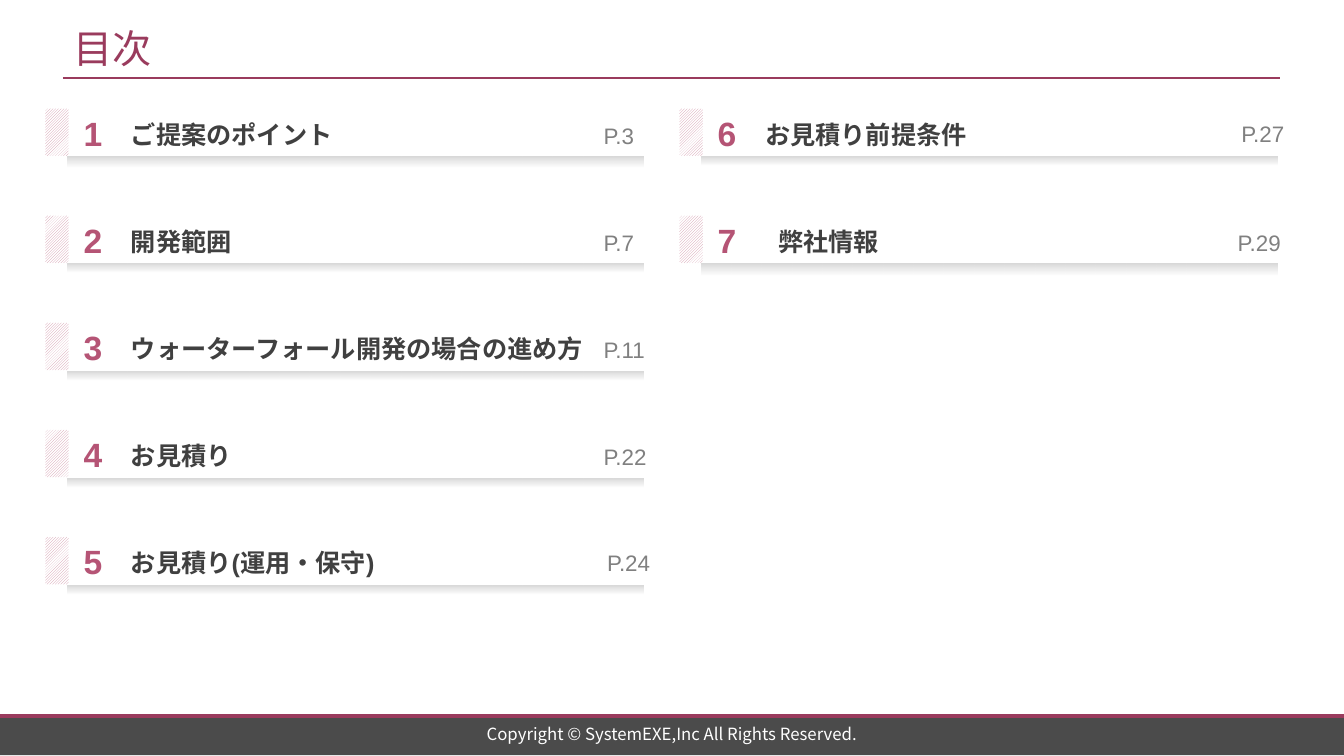
from pptx import Presentation
from pptx import util as u
from pptx.dml import color
from pptx.enum import dml, shapes, text
from pptx.oxml import ns, xmlchemy

WINE = color.RGBColor(0x9A, 0x3B, 0x5D)
ROSE = color.RGBColor(0xB5, 0x54, 0x75)
PINK = color.RGBColor(0xD0, 0x92, 0xA7)
CHARCOAL = color.RGBColor(0x4B, 0x4B, 0x4B)
DARK = color.RGBColor(0x40, 0x40, 0x40)
GRAY = color.RGBColor(0x80, 0x80, 0x80)
SILVER = color.RGBColor(0xD9, 0xD9, 0xD9)
WHITE = color.RGBColor(0xFF, 0xFF, 0xFF)

LATIN = "Arial"
JAPANESE = "Noto Sans CJK JP"
WIDTH, HEIGHT = 960, 540
ROWS = 5
COLUMN_STEP, ROW_STEP = 453, 76.5

HEADING = {"size": u.Pt(28), "name": JAPANESE}
COPYRIGHT = {"size": u.Pt(12), "name": JAPANESE}
NUMBER = {"size": u.Pt(24), "name": LATIN, "bold": True}
CHAPTER = {"size": u.Pt(18), "name": LATIN, "bold": True}
PAGE = {"size": u.Pt(16), "name": LATIN}

MIDDLE = {"vertical_anchor": text.MSO_ANCHOR.MIDDLE, "word_wrap": False}
BOTTOM = {"vertical_anchor": text.MSO_ANCHOR.BOTTOM, "word_wrap": False}
WIDE_MARGINS = {
    "margin_left": u.Pt(9.6), "margin_right": u.Pt(9.6),
    "margin_top": u.Pt(4.8), "margin_bottom": u.Pt(4.8),
}
FIT = {"word_wrap": False, "auto_size": text.MSO_AUTO_SIZE.SHAPE_TO_FIT_TEXT}

CHAPTERS = [
    ("ご提案のポイント", "P.3", 0, 8, {}),
    ("開発範囲", "P.7", 0, 6.5, {}),
    ("ウォーターフォール開発の場合の進め方", "P.11", 0, 6.5, {}),
    ("お見積り", "P.22", 0, 6.5, {}),
    ("お見積り(運用・保守)", "P.24", 0, 6.5, WIDE_MARGINS),
    ("お見積り前提条件", "P.27", 0, 6.5, WIDE_MARGINS),
    ("弊社情報", "P.29", 9.5, 8, {}),
]


class ContentsSlide:
    """Draws the elements of a contents page on one slide."""

    def __init__(self, presentation):
        self.slide = presentation.slides.add_slide(presentation.slide_layouts[6])

    def rectangle(self, *box):
        shape = self.slide.shapes.add_shape(
            shapes.MSO_SHAPE.RECTANGLE, *map(u.Pt, box))
        shape.shadow.inherit = False
        shape.line.fill.background()
        return shape

    def band(self, *box):
        fill = self.rectangle(*box).fill
        fill.solid()
        fill.fore_color.rgb = CHARCOAL

    def hatch(self, *box):
        fill = self.rectangle(*box).fill
        fill.patterned()
        fill.pattern = dml.MSO_PATTERN.DARK_UPWARD_DIAGONAL
        fill.fore_color.rgb = PINK
        fill.back_color.rgb = WHITE

    def fading_bar(self, *box):
        shape = self.rectangle(*box)
        shape.rotation = 180
        shape.fill.gradient()
        shape.fill.gradient_angle = 90
        for stop, shade in zip(shape.fill.gradient_stops, (SILVER, WHITE)):
            stop.color.rgb = shade
        last_color = shape._element.spPr.findall(".//" + ns.qn("a:srgbClr"))[-1]
        alpha = xmlchemy.OxmlElement("a:alpha")
        alpha.set("val", "85000")
        last_color.append(alpha)

    def rule(self, left, right, top, width):
        line = self.slide.shapes.add_connector(
            shapes.MSO_CONNECTOR.STRAIGHT, *map(u.Pt, (left, top, right, top)))
        line.line.color.rgb = WINE
        line.line.width = u.Pt(width)
        line._element.spPr.append(xmlchemy.OxmlElement("a:effectLst"))

    def label(self, words, box, font, ink, frame, align=text.PP_ALIGN.LEFT):
        text_frame = self.slide.shapes.add_textbox(*map(u.Pt, box)).text_frame
        paragraph = text_frame.paragraphs[0]
        paragraph.alignment = align
        run = paragraph.add_run()
        run.text = words
        for target, values in ((text_frame, frame), (run.font, font)):
            for name, value in values.items():
                setattr(target, name, value)
        run.font.color.rgb = ink
        east_asian = xmlchemy.OxmlElement("a:ea")
        east_asian.set("typeface", JAPANESE)
        run._r.get_or_add_rPr().append(east_asian)

    def chapter(self, index, title, page, indent, thickness, margins):
        column, row = divmod(index, ROWS)
        x, y = column * COLUMN_STEP, row * ROW_STEP
        self.hatch(32.4 + x, 77.6 + y, 16.6, 33.8)
        self.label(str(index + 1), (52.6 + x, 77.2 + y, 28, 33.8),
                   NUMBER, ROSE, FIT)
        self.label(title, (86.4 + x + indent, 81.4 + y, 350, 28.8),
                   CHAPTER, DARK, {"word_wrap": False})
        self.fading_bar(48.4 + x, 112 + y, 411, thickness)
        self.label(page, (424 + x, 74 + y, 51, 36), PAGE, GRAY, BOTTOM | margins)


def main():
    presentation = Presentation()
    presentation.slide_width = u.Pt(WIDTH)
    presentation.slide_height = u.Pt(HEIGHT)
    contents = ContentsSlide(presentation)
    contents.band(0, 511.2, WIDTH, 28.2)
    contents.rule(0, WIDTH, 511.6, 2.75)
    contents.rule(45, 914.4, 56, 1.5)
    contents.label("目次", (45.4, 14.4, 869, 39.6), HEADING, WINE, MIDDLE)
    contents.label("Copyright © SystemEXE,Inc All Rights Reserved.",
                   (239, 515.8, 482, 17.4), COPYRIGHT, WHITE,
                   MIDDLE | {"word_wrap": True}, text.PP_ALIGN.CENTER)
    for index, entry in enumerate(CHAPTERS):
        contents.chapter(index, *entry)
    presentation.save("out.pptx")


if __name__ == "__main__":
    main()
